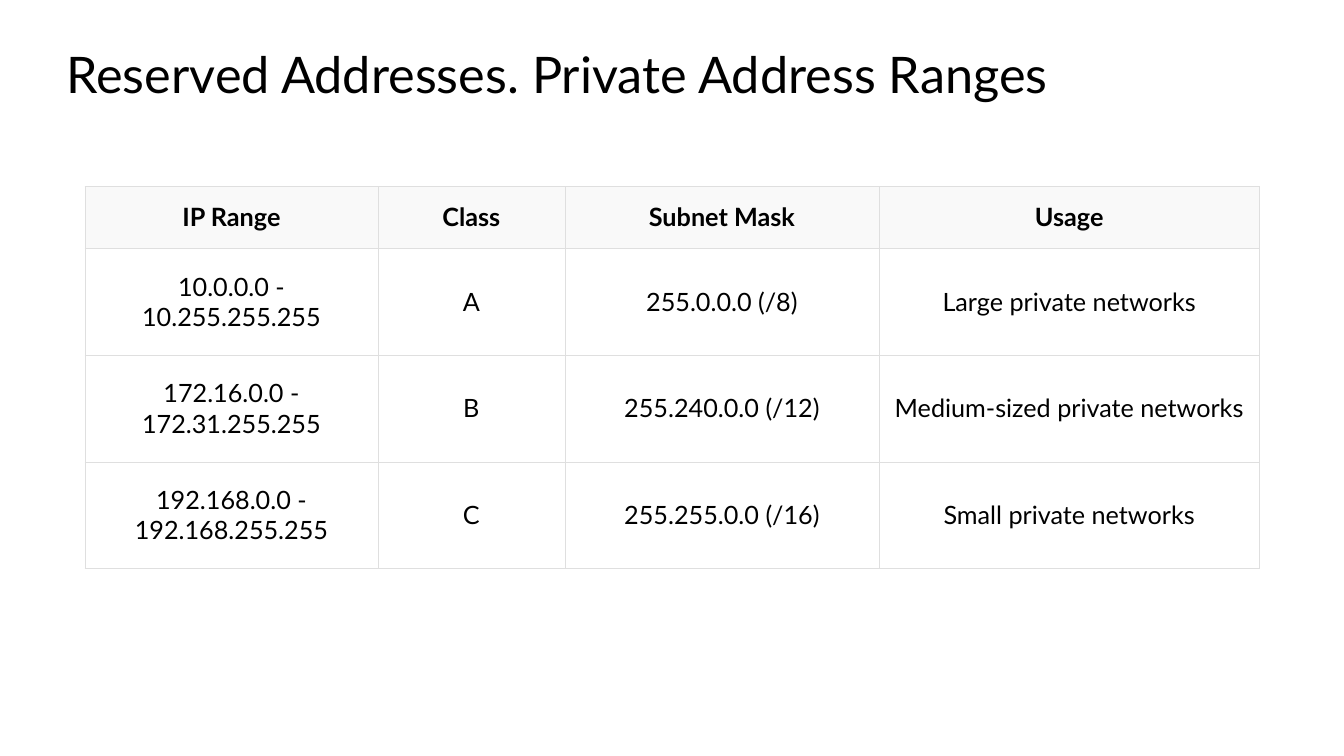
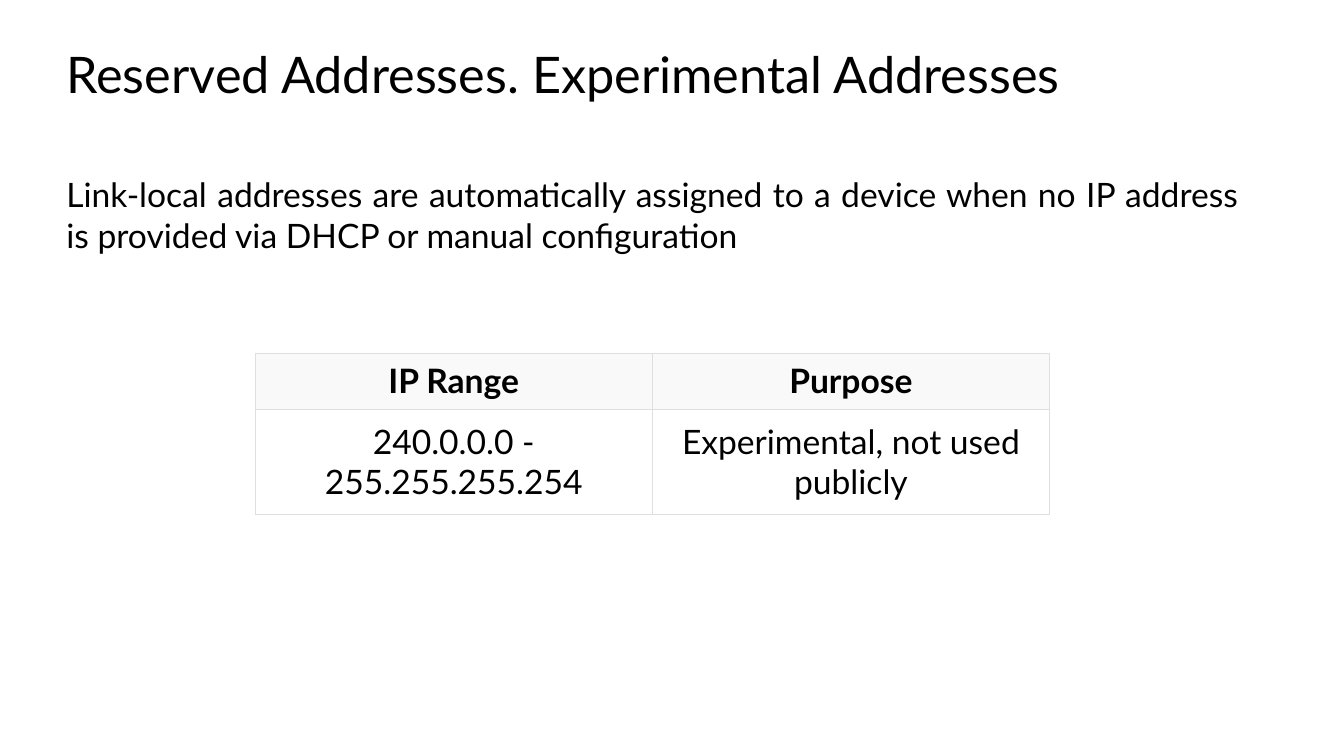
"""Build two slides on reserved IP address ranges."""
from dataclasses import dataclass

from lxml.etree import SubElement
from pptx import Presentation
from pptx.dml.color import RGBColor
from pptx.enum.text import MSO_ANCHOR as Anchor, PP_ALIGN as Align
from pptx.oxml.ns import qn
from pptx.slide import Slide
from pptx.table import _Cell as Cell
from pptx.text.text import _Paragraph as Paragraph
from pptx.util import Inches, Pt

INK = RGBColor(0x00, 0x00, 0x00)
HEADER_FILL = RGBColor(0xF9, 0xF9, 0xF9)
BODY_FILL = RGBColor(0xFF, 0xFF, 0xFF)
GRID = RGBColor(0xDF, 0xDF, 0xDF)
FONT = "Lato"
GRID_WIDTH = Pt(0.18)
TEXT_LEFT = 0.56
TITLE_SIZE = 36


@dataclass(frozen=True)
class AddressTable:
    left: float
    top: float
    size: int
    widths: tuple[float, ...]
    header_height: float
    row_height: float
    rows: tuple[tuple[str, ...], ...]


@dataclass(frozen=True)
class AddressSlide:
    title: str
    addresses: AddressTable
    intro: str = ""


SLIDES = (
    AddressSlide(
        "Reserved Addresses. Private Address Ranges",
        AddressTable(
            0.84, 1.85, 18, (2.91, 1.85, 3.12, 3.77), 0.61, 1.06,
            (
                ("IP Range", "Class", "Subnet Mask", "Usage"),
                ("10.0.0.0 - 10.255.255.255", "A", "255.0.0.0 (/8)", "Large private networks"),
                ("172.16.0.0 - 172.31.255.255", "B", "255.240.0.0 (/12)", "Medium-sized private networks"),
                ("192.168.0.0 - 192.168.255.255", "C", "255.255.0.0 (/16)", "Small private networks"),
            ),
        ),
    ),
    AddressSlide(
        "Reserved Addresses. Experimental Addresses",
        AddressTable(
            2.53, 3.5, 24, (3.94, 3.94), 0.56, 1.04,
            (
                ("IP Range", "Purpose"),
                ("240.0.0.0 - 255.255.255.254", "Experimental, not used publicly"),
            ),
        ),
        "Link-local addresses are automatically assigned to a device when no IP address "
        "is provided via DHCP or manual configuration",
    ),
)


def write(paragraph: Paragraph, text: str, size: int, align: Align, bold: bool = False) -> None:
    paragraph.text = text
    paragraph.alignment = align
    font = paragraph.font
    font.name, font.size, font.bold = FONT, Pt(size), bold
    font.color.rgb = INK


def add_text(slide: Slide, top: float, width: float, height: float,
             text: str, size: int, align: Align = Align.LEFT) -> None:
    box = slide.shapes.add_textbox(Inches(TEXT_LEFT), Inches(top), Inches(width), Inches(height))
    box.text_frame.word_wrap = True
    write(box.text_frame.paragraphs[0], text, size, align)


def add_borders(cell: Cell) -> None:
    properties = cell._tc.get_or_add_tcPr()
    for side in ("L", "R", "T", "B"):
        border = SubElement(properties, qn(f"a:ln{side}"), w=str(GRID_WIDTH))
        SubElement(SubElement(border, qn("a:solidFill")), qn("a:srgbClr"), val=str(GRID))


def style_cell(cell: Cell, text: str, size: int, is_header: bool) -> None:
    add_borders(cell)
    cell.fill.solid()
    cell.fill.fore_color.rgb = HEADER_FILL if is_header else BODY_FILL
    cell.vertical_anchor = Anchor.MIDDLE
    cell.margin_left = cell.margin_right = Inches(0.08)
    cell.margin_top = cell.margin_bottom = Inches(0.08 if is_header else 0.12)
    write(cell.text_frame.paragraphs[0], text, size, Align.CENTER, is_header)


def add_addresses(slide: Slide, addresses: AddressTable) -> None:
    heights = [addresses.header_height] + [addresses.row_height] * (len(addresses.rows) - 1)
    table = slide.shapes.add_table(
        len(heights), len(addresses.widths), Inches(addresses.left), Inches(addresses.top),
        Inches(sum(addresses.widths)), Inches(sum(heights)),
    ).table
    for column, width in zip(table.columns, addresses.widths):
        column.width = Inches(width)
    for row_index, (row, height, texts) in enumerate(zip(table.rows, heights, addresses.rows)):
        row.height = Inches(height)
        for cell, text in zip(row.cells, texts):
            style_cell(cell, text, addresses.size, row_index == 0)


def main() -> None:
    deck = Presentation()
    deck.slide_width, deck.slide_height = Inches(13.33), Inches(7.5)
    blank = deck.slide_layouts[6]
    for content in SLIDES:
        slide = deck.slides.add_slide(blank)
        add_text(slide, 0.38, 10.79, 1.01, content.title, TITLE_SIZE)
        if content.intro:
            add_text(slide, 1.68, 11.82, 0.91, content.intro, 24, Align.JUSTIFY)
        add_addresses(slide, content.addresses)
    deck.save("out.pptx")


if __name__ == "__main__":
    main()
